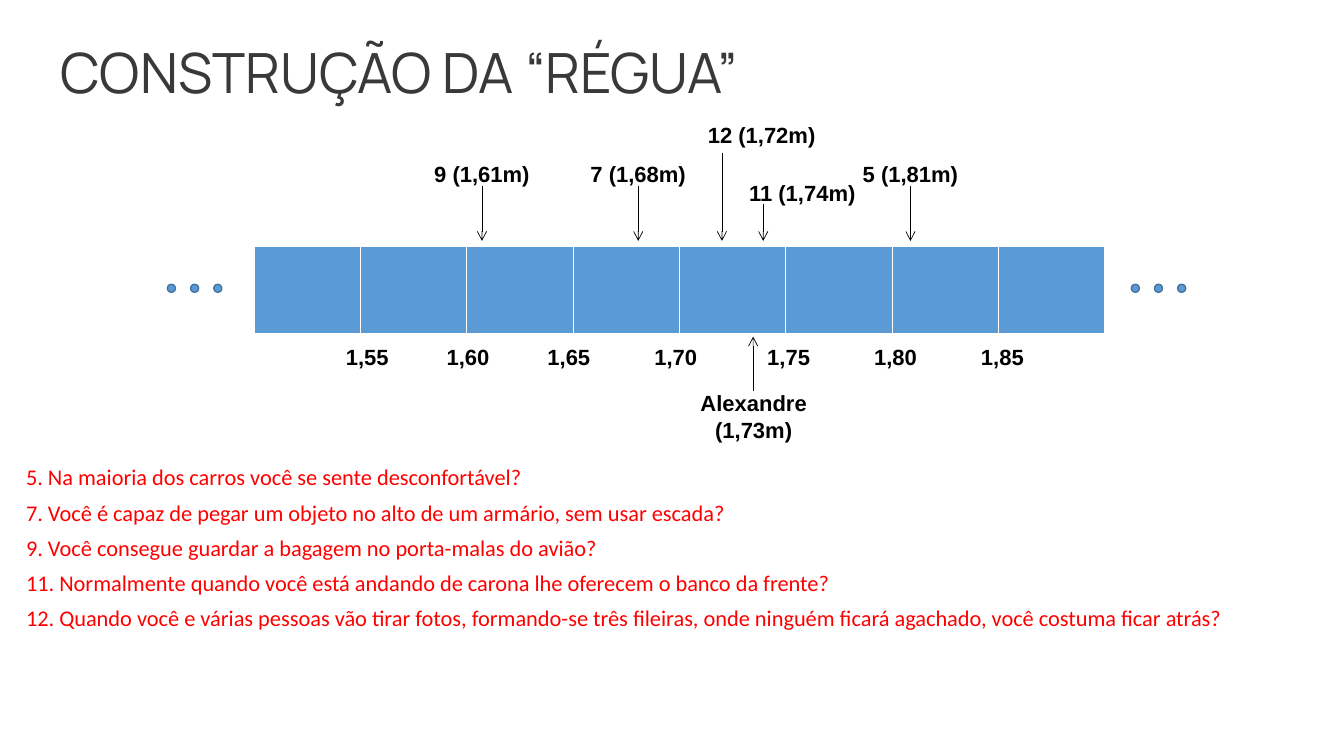
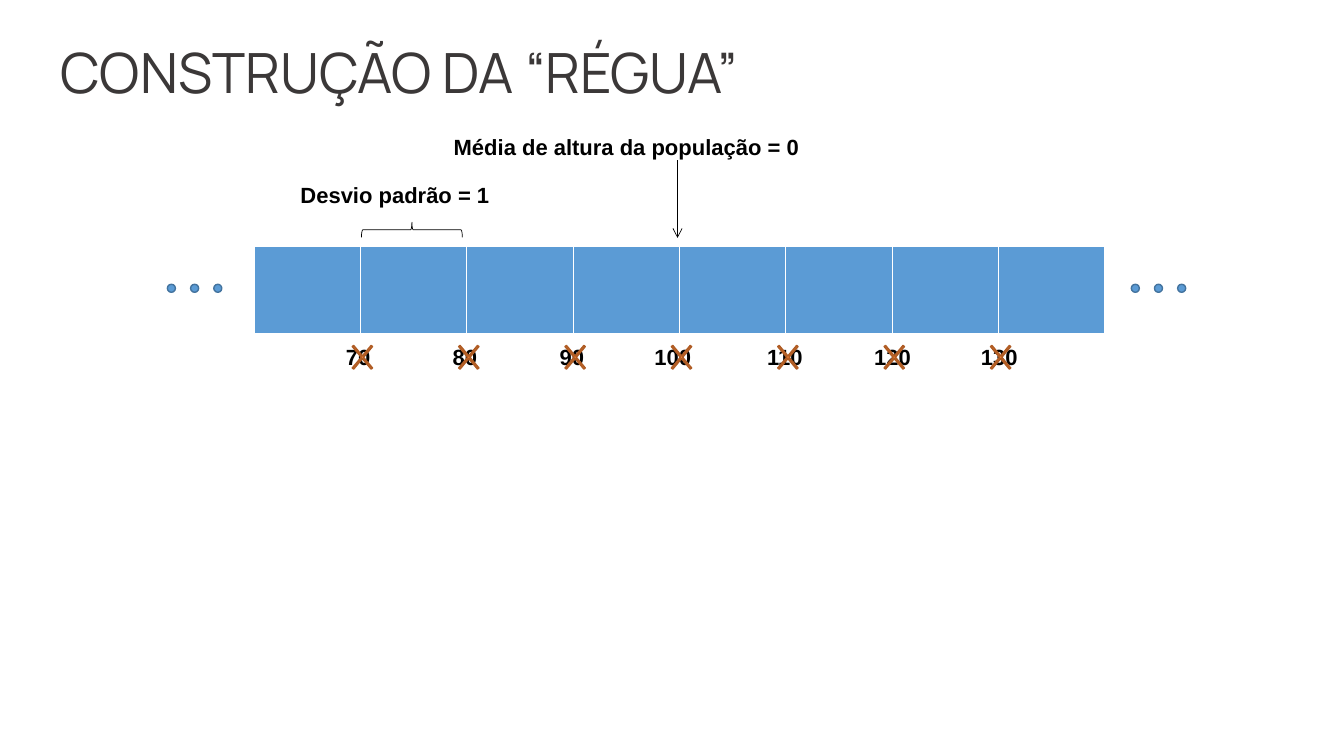
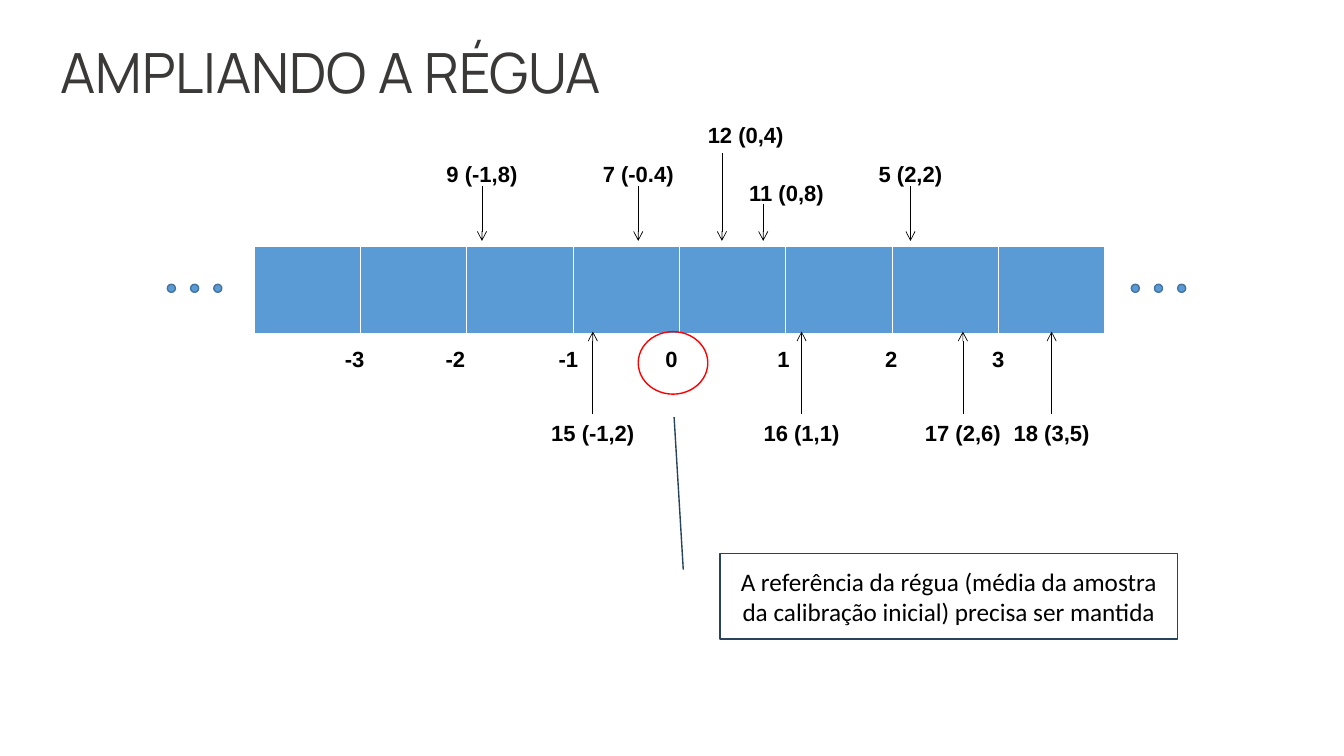
from lxml import etree
from pptx import Presentation
from pptx.dml.color import RGBColor
from pptx.enum.shapes import MSO_CONNECTOR, MSO_SHAPE
from pptx.enum.text import MSO_ANCHOR, PP_ALIGN
from pptx.oxml.ns import qn
from pptx.util import Inches, Pt

SLIDE_WIDTH, SLIDE_HEIGHT = 13.33, 7.5
BLANK_LAYOUT = 6

BLACK = RGBColor(0, 0, 0)
TITLE_GREY = RGBColor(0x3B, 0x38, 0x38)
RULER_BLUE = RGBColor(0x5B, 0x9B, 0xD5)
DOT_EDGE = RGBColor(0x43, 0x73, 0x9E)
CROSS_ORANGE = RGBColor(0xED, 0x7D, 0x31)
CROSS_EDGE = RGBColor(0xAF, 0x5C, 0x24)
CALLOUT_EDGE = RGBColor(0x28, 0x44, 0x5D)
RED = RGBColor(0xFF, 0, 0)

LEFT, CENTER, JUSTIFY = PP_ALIGN.LEFT, PP_ALIGN.CENTER, PP_ALIGN.JUSTIFY
MIDDLE = MSO_ANCHOR.MIDDLE
STRAIGHT = MSO_CONNECTOR.STRAIGHT
ELLIPSE, CROSS = MSO_SHAPE.OVAL, MSO_SHAPE.MATH_MULTIPLY
BRACE, CALLOUT = MSO_SHAPE.LEFT_BRACE, MSO_SHAPE.LINE_CALLOUT_1
TOP_SIDE = 0

RULER_LEFT, RULER_TOP, RULER_WIDTH, RULER_HEIGHT = 2.52, 2.44, 8.44, 0.87
RULER_CELLS = 8
CELL_WIDTH = RULER_WIDTH / RULER_CELLS
ARROW_STOP = RULER_TOP - 0.05
LABEL_HEIGHT = 0.36
LABEL_INSET = 0.08

# Arrow x, label top, arrow start, alignment of the items above the ruler
UPPER_ITEMS = [
    (7.57, 1.73, 2.02, LEFT),
    (6.33, 1.54, 1.85, CENTER),
    (4.78, 1.54, 1.85, CENTER),
    (7.16, 1.16, 1.52, LEFT),
    (9.03, 1.54, 1.85, CENTER),
]

QUESTIONS = [
    "5. Na maioria dos carros você se sente desconfortável?",
    "7. Você é capaz de pegar um objeto no alto de um armário, sem usar escada?",
    "9. Você consegue guardar a bagagem no porta-malas do avião?",
    "11. Normalmente quando você está andando de carona lhe oferecem o banco da frente?",
    "12. Quando você e várias pessoas vão tirar fotos, formando-se três fileiras, "
    "onde ninguém ficará agachado, você costuma ficar atrás?",
]


def inches(*lengths):
    return [Inches(length) for length in lengths]


def style(paragraph, font_name, size, color, align=LEFT, bold=False):
    paragraph.alignment = align
    font = paragraph.font
    font.name, font.size, font.bold = font_name, Pt(size), bold
    font.color.rgb = color


def add_text(slide, place, lines, font_name, size, color, align=LEFT, bold=False):
    box = slide.shapes.add_textbox(*inches(*place))
    frame = box.text_frame
    frame.word_wrap = True
    for index, line in enumerate(lines):
        paragraph = frame.add_paragraph() if index else frame.paragraphs[0]
        paragraph.text = line
        style(paragraph, font_name, size, color, align, bold)
    return box


def add_label(slide, place, lines, align=LEFT):
    """Bold text that names a point of the ruler."""
    box = add_text(slide, place, lines, "Arial", 15.7, BLACK, align, True)
    box.text_frame.margin_left = box.text_frame.margin_right = Inches(LABEL_INSET)
    return box


def add_scale(slide, left, top, values, stops):
    """One line of values, each after the first set at a tab stop."""
    box = slide.shapes.add_textbox(*inches(left, top, 6.94, LABEL_HEIGHT))
    frame = box.text_frame
    frame.word_wrap = True
    frame.margin_left = frame.margin_right = Inches(LABEL_INSET)
    paragraph = frame.paragraphs[0]
    paragraph.text = "\t".join(values)
    tabs = etree.SubElement(paragraph._p.get_or_add_pPr(), qn("a:tabLst"))
    for stop in stops:
        etree.SubElement(tabs, qn("a:tab"), pos=str(Inches(stop)), algn="l")
    style(paragraph, "Arial", 15.7, BLACK, bold=True)


def add_arrow(slide, x, start, stop):
    arrow = slide.shapes.add_connector(STRAIGHT, *inches(x, start, x, stop))
    arrow.line.color.rgb = BLACK
    arrow.line.width = Pt(0.5)
    properties = arrow._element.spPr
    etree.SubElement(properties.find(qn("a:ln")), qn("a:tailEnd"), type="arrow")
    etree.SubElement(properties, qn("a:effectLst"))
    return arrow


def add_figure(slide, kind, place, edge, fill=None, weight=1, adjustments=()):
    figure = slide.shapes.add_shape(kind, *inches(*place))
    figure.shadow.inherit = False
    if fill is None:
        figure.fill.background()
    else:
        figure.fill.solid()
        figure.fill.fore_color.rgb = fill
    figure.line.color.rgb = edge
    figure.line.width = Pt(weight)
    for index, value in enumerate(adjustments):
        figure.adjustments[index] = value
    return figure


def add_ruler(slide):
    frame = slide.shapes.add_table(
        1, RULER_CELLS, *inches(RULER_LEFT, RULER_TOP, RULER_WIDTH, RULER_HEIGHT))
    for cell in frame.table.iter_cells():
        cell.fill.solid()
        cell.fill.fore_color.rgb = RULER_BLUE
    for group_left in (1.66, 11.22):
        for index in range(3):
            place = (group_left + 0.23 * index, 2.82, 0.08, 0.08)
            add_figure(slide, ELLIPSE, place, DOT_EDGE, RULER_BLUE)


def add_ruler_slide(deck, title):
    slide = deck.slides.add_slide(deck.slide_layouts[BLANK_LAYOUT])
    box = add_text(slide, (0.5, 0.38, 11.92, 0.73), [title], "Manrope", 39.6, TITLE_GREY)
    box.text_frame.vertical_anchor = MIDDLE
    box.text_frame.paragraphs[0].line_spacing = 0.9
    add_ruler(slide)
    return slide


def add_upper_items(slide, labels):
    """Items above the ruler; labels holds a text and a width for each."""
    for (text, width), (x, top, start, align) in zip(labels, UPPER_ITEMS):
        left = x - width / 2 if align == CENTER else x - 0.22
        add_label(slide, (left, top, width, LABEL_HEIGHT), [text], align)
        add_arrow(slide, x, start, ARROW_STOP)


def build_heights(deck):
    slide = add_ruler_slide(deck, "CONSTRUÇÃO DA “RÉGUA”")
    add_scale(slide, 3.35, 3.36,
              ["1,55", "1,60", "1,65", "1,70", "1,75", "1,80", "1,85"],
              [1, 2, 3.06, 4.18, 5.24, 6.3])
    add_arrow(slide, 7.47, 3.88, 3.34)
    add_label(slide, (6.84, 3.82, 1.27, 0.63), ["Alexandre", "(1,73m)"], CENTER)
    add_upper_items(slide, [("11 (1,74m)", 1.27), ("7 (1,68m)", 1.16),
                            ("9 (1,61m)", 1.16), ("12 (1,72m)", 1.28),
                            ("5 (1,81m)", 1.16)])
    box = add_text(slide, (0.16, 4.55, 12.33, 2.08), QUESTIONS,
                   "Calibri", 16, RED, JUSTIFY)
    for paragraph in box.text_frame.paragraphs[1:]:
        paragraph.space_before = Pt(5.9)


def build_standard_scale(deck):
    slide = add_ruler_slide(deck, "CONSTRUÇÃO DA “RÉGUA”")
    add_label(slide, (2.9, 1.75, 2.1, LABEL_HEIGHT), ["Desvio padrão = 1"])
    add_label(slide, (4.42, 1.28, 3.67, LABEL_HEIGHT),
              ["Média de altura da população = 0"])
    add_scale(slide, 3.35, 3.36, ["70", "80", "90", "100", "110", "120", "130"],
              [1.06, 2.12, 3.06, 4.18, 5.24, 6.3])
    for tick in range(1, RULER_CELLS):
        place = (RULER_LEFT + tick * CELL_WIDTH - 0.16, 3.33, 0.36, 0.43)
        add_figure(slide, CROSS, place, CROSS_EDGE, CROSS_ORANGE, adjustments=[0.05])
    add_arrow(slide, 6.72, 1.59, 2.36)
    brace = add_figure(slide, BRACE, (4.01, 1.78, 0.15, 1), BLACK, weight=0.5)
    brace.rotation = 90


def build_extended_ruler(deck):
    slide = add_ruler_slide(deck, "AMPLIANDO A RÉGUA")
    add_scale(slide, 3.34, 3.38, ["-3", "-2", "-1", "0", "1", "2", "3"],
              [1, 2.12, 3.18, 4.29, 5.36, 6.42])
    add_upper_items(slide, [("11 (0,8)", 0.95), ("7 (-0.4)", 0.91),
                            ("9 (-1,8)", 0.91), ("12 (0,4)", 0.96),
                            ("5 (2,2)", 0.84)])
    for text, x, width in [("15 (-1,2)", 5.88, 1.04), ("16 (1,1)", 7.95, 0.96),
                           ("17 (2,6)", 9.55, 0.96), ("18 (3,5)", 10.43, 0.96)]:
        label = add_label(slide, (x - width / 2, 4.11, width, LABEL_HEIGHT),
                          [text], CENTER)
        add_arrow(slide, x, 4.11, 3.29).begin_connect(label, TOP_SIDE)
    add_figure(slide, ELLIPSE, (6.33, 3.29, 0.69, 0.62), RED)
    note = add_figure(slide, CALLOUT, (7.14, 5.49, 4.54, 0.85), CALLOUT_EDGE,
                      adjustments=[0.19, -0.08, -1.59, -0.1])
    frame = note.text_frame
    frame.word_wrap = True
    frame.vertical_anchor = MIDDLE
    paragraph = frame.paragraphs[0]
    paragraph.text = ("A referência da régua (média da amostra da calibração "
                      "inicial) precisa ser mantida")
    style(paragraph, "Calibri", 18, BLACK, CENTER)


def main():
    deck = Presentation()
    deck.slide_width, deck.slide_height = inches(SLIDE_WIDTH, SLIDE_HEIGHT)
    build_heights(deck)
    build_standard_scale(deck)
    build_extended_ruler(deck)
    deck.save("out.pptx")


if __name__ == "__main__":
    main()
